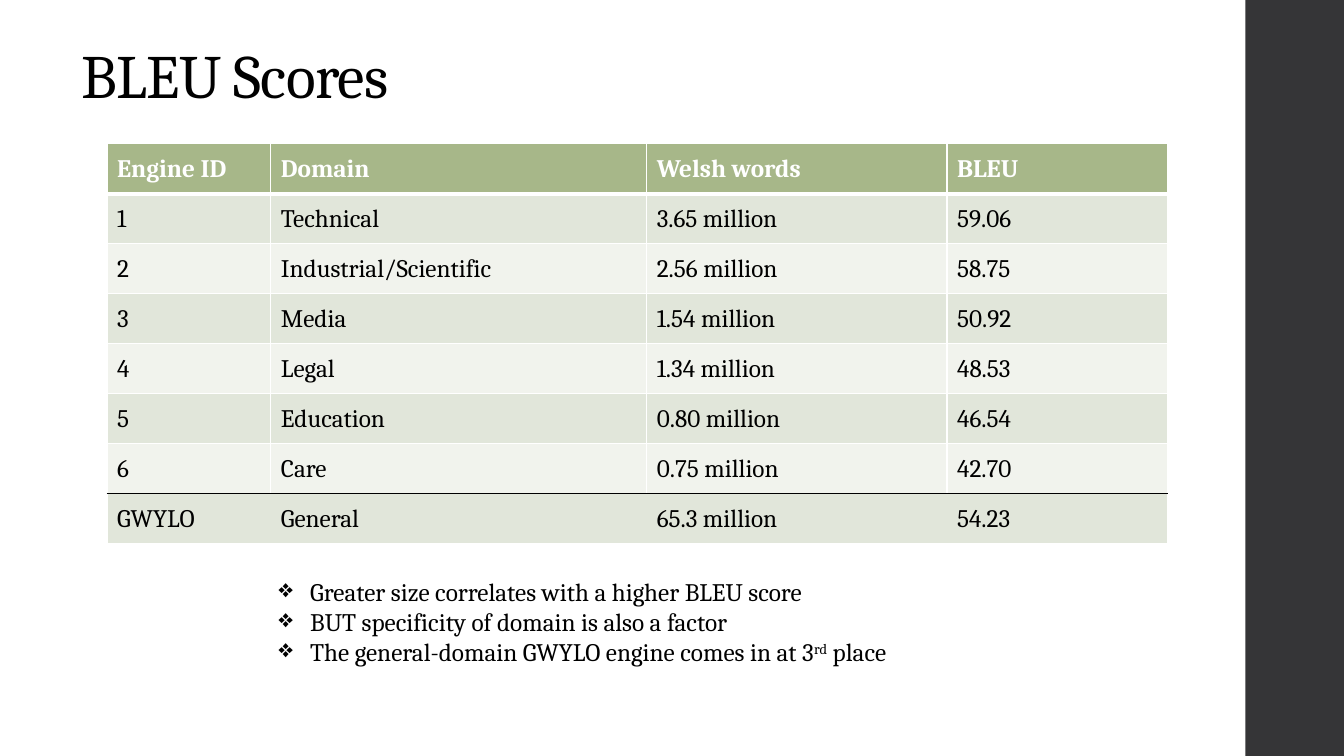
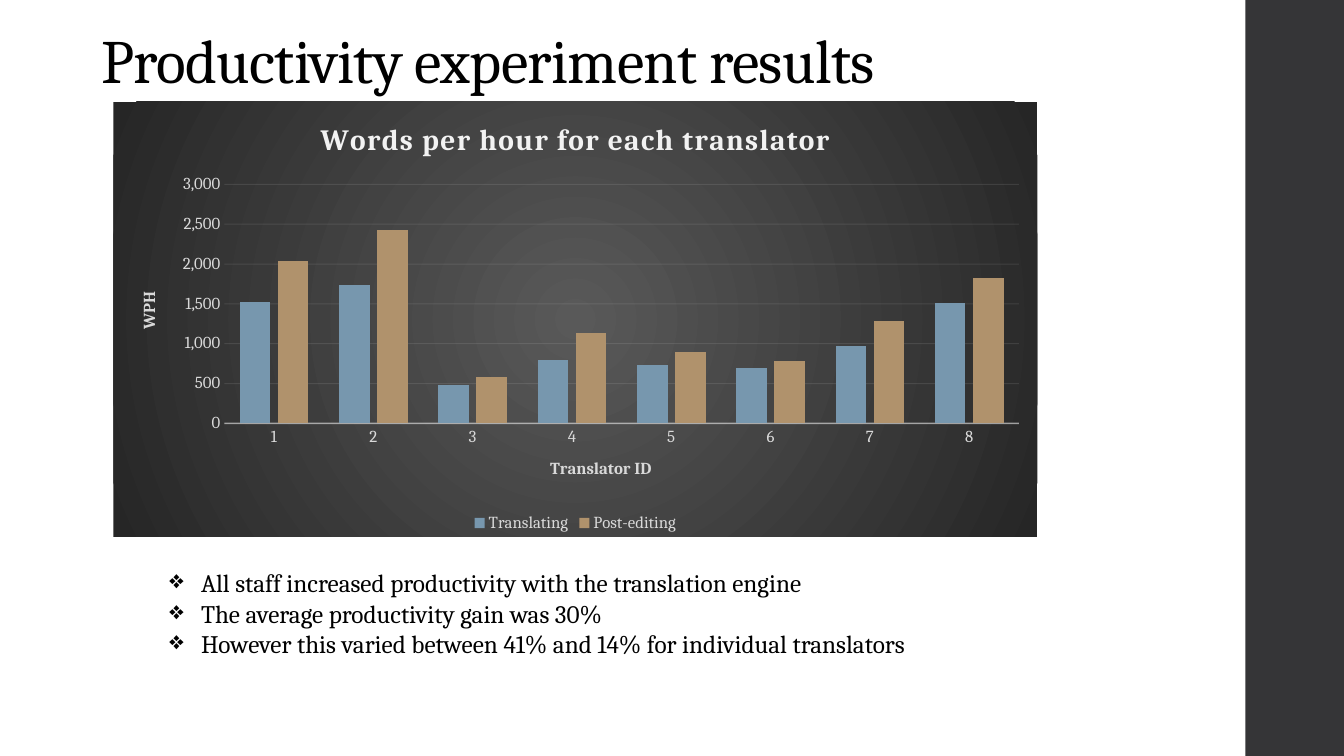
import lxml.etree as etree
import pptx
import pptx.chart.data
import pptx.dml.color
import pptx.enum.chart
import pptx.enum.shapes
import pptx.enum.text
import pptx.oxml
import pptx.oxml.ns
import pptx.util

RGBColor = pptx.dml.color.RGBColor
Pt = pptx.util.Pt
qn = pptx.oxml.ns.qn

BLACK = RGBColor(0x00, 0x00, 0x00)
WHITE = RGBColor(0xFF, 0xFF, 0xFF)
BAND = RGBColor(0x35, 0x35, 0x37)
HEADER = RGBColor(0xA7, 0xB7, 0x89)
ROW_FILLS = (RGBColor(0xE1, 0xE6, 0xDA), RGBColor(0xF1, 0xF3, 0xED))
CHART_CENTRE = RGBColor(0x59, 0x59, 0x59)
CHART_EDGE = RGBColor(0x26, 0x26, 0x26)
CHART_TEXT = RGBColor(0xD9, 0xD9, 0xD9)
CHART_LIGHT = RGBColor(0xF2, 0xF2, 0xF2)
BLUE = RGBColor(0x77, 0x97, 0xAE)
TAN = RGBColor(0xB0, 0x92, 0x6C)
FONT = "Cambria"

SCALE = 9525  # EMU per px
PAGE_SIZE = (1280, 720)
BAND_BOX = (1186, 0, 94, 720)
BULLET_INDENT = 30

SCORES = {
    "title": "BLEU Scores",
    "title_box": (68, 6, 1108, 105),
    "table_box": (102, 137, 1010, 381),
    "columns": (156, 358, 286, 210),
    "rows": (
        ("Engine ID", "Domain", "Welsh words", "BLEU"),
        ("1", "Technical", "3.65 million", "59.06"),
        ("2", "Industrial/Scientific", "2.56 million", "58.75"),
        ("3", "Media", "1.54 million", "50.92"),
        ("4", "Legal", "1.34 million", "48.53"),
        ("5", "Education", "0.80 million", "46.54"),
        ("6", "Care", "0.75 million", "42.70"),
        ("GWYLO", "General", "65.3 million", "54.23"),
    ),
    "bullets_box": (256, 544, 679, 97),
    # A bullet is a list of spans; every second span is superscript.
    "bullets": (
        ("Greater size correlates with a higher BLEU score",),
        ("BUT specificity of domain is also a factor",),
        ("The general-domain GWYLO engine comes in at 3", "rd", " place"),
    ),
}
PRODUCTIVITY = {
    "title": "Productivity experiment results",
    "title_box": (87, 0, 983, 97),
    "chart_box": (108, 97, 880, 414),
    "chart_title": "Words per hour for each translator",
    "category_title": "Translator ID",
    "value_title": "WPH",
    "categories": ("1", "2", "3", "4", "5", "6", "7", "8"),
    "series": (
        ("Translating", BLUE, (1520, 1740, 480, 800, 730, 690, 970, 1510)),
        ("Post-editing", TAN, (2040, 2430, 580, 1130, 890, 780, 1280, 1830)),
    ),
    "plot_area": {"x": 0.12, "y": 0.19, "w": 0.86, "h": 0.55},
    "bullets_box": (152, 536, 790, 97),
    "bullets": (
        ("All staff increased productivity with the translation engine",),
        ("The average productivity gain was 30%",),
        ("However this varied between 41% and 14% for individual translators",),
    ),
}


def px(*lengths):
    return [pptx.util.Emu(length * SCALE) for length in lengths]


def style(font, size, color, bold=False):
    font.name, font.size, font.bold = FONT, Pt(size), bold
    font.color.rgb = color


def add_band(layout, page):
    """Draw the side band on a page, then move it to the layout that all pages share."""
    band = page.shapes.add_shape(pptx.enum.shapes.MSO_SHAPE.RECTANGLE, *px(*BAND_BOX))
    band.shadow.inherit = False
    band.fill.solid()
    band.fill.fore_color.rgb = BAND
    band.line.fill.background()
    layout.shapes.element.append(band.element)


def add_page(deck, layout, content):
    page = deck.slides.add_slide(layout)
    title = page.shapes.title
    title.left, title.top, title.width, title.height = px(*content["title_box"])
    frame = title.text_frame
    frame.text = content["title"]
    frame.word_wrap = True
    frame.auto_size = pptx.enum.text.MSO_AUTO_SIZE.NONE
    frame.vertical_anchor = pptx.enum.text.MSO_ANCHOR.BOTTOM
    para = frame.paragraphs[0]
    para.alignment = pptx.enum.text.PP_ALIGN.LEFT
    para.line_spacing = 0.9
    span = para.runs[0]
    style(span.font, 44, BLACK)
    span._r.get_or_add_rPr().set("spc", "-50")
    add_bullets(page, content)
    return page


def add_bullets(page, content):
    frame = page.shapes.add_textbox(*px(*content["bullets_box"])).text_frame
    frame.word_wrap = True
    for number, spans in enumerate(content["bullets"]):
        para = frame.add_paragraph() if number else frame.paragraphs[0]
        properties = para._p.get_or_add_pPr()
        indent = BULLET_INDENT * SCALE
        properties.set("marL", str(indent))
        properties.set("indent", str(-indent))
        etree.SubElement(properties, qn("a:buChar"), char="❖")
        for position, text in enumerate(spans):
            span = para.add_run()
            span.text = text
            style(span.font, 18, BLACK)
            if position % 2:
                span._r.get_or_add_rPr().set("baseline", "30000")


def set_border(cell, order, side, color, points):
    """Add one cell border; a colour of None hides it."""
    line = etree.Element(qn("a:ln" + side), w=str(Pt(points)))
    if color is None:
        etree.SubElement(line, qn("a:noFill"))
    else:
        fill = etree.SubElement(line, qn("a:solidFill"))
        etree.SubElement(fill, qn("a:srgbClr"), val=str(color))
    cell._tc.get_or_add_tcPr().insert(order, line)


def add_score_table(page, content):
    rows, columns = content["rows"], content["columns"]
    last_row, last_column = len(rows) - 1, len(columns) - 1
    table = page.shapes.add_table(len(rows), len(columns), *px(*content["table_box"])).table
    for column, width in zip(table.columns, px(*columns)):
        column.width = width
    for r, row in enumerate(rows):
        for c, text in enumerate(row):
            cell = table.cell(r, c)
            cell.text = text
            cell.vertical_anchor = pptx.enum.text.MSO_ANCHOR.MIDDLE
            header = r == 0
            style(cell.text_frame.paragraphs[0].runs[0].font, 18, WHITE if header else BLACK, header)
            cell.fill.solid()
            cell.fill.fore_color.rgb = HEADER if header else ROW_FILLS[(r - 1) % 2]
            total = r == last_row
            borders = {
                "L": (None if total and c > 0 else WHITE, 1),
                "R": (None if total and c < last_column else WHITE, 1),
                "T": (BLACK if total else WHITE, 3 if r == 1 else 1),
                "B": (BLACK if r == last_row - 1 else WHITE, 3 if header else 1),
            }
            for order, (side, (color, points)) in enumerate(borders.items()):
                set_border(cell, order, side, color, points)


def set_title(owner, text, size, color):
    """Title a chart or an axis in bold."""
    owner.has_title = True
    title = owner.chart_title if hasattr(owner, "chart_title") else owner.axis_title
    title.text_frame.text = text
    span = title.text_frame.paragraphs[0].runs[0]
    style(span.font, size, color, True)
    return span


def fade(element, percent):
    for color in element.iter(qn("a:srgbClr")):
        etree.SubElement(color, qn("a:alpha"), val=str(percent * 1000))


def fill_chart_area(chart_space):
    properties = pptx.oxml.parse_xml(
        f'<c:spPr {pptx.oxml.ns.nsdecls("c", "a")}><a:gradFill><a:gsLst>'
        f'<a:gs pos="0"><a:srgbClr val="{CHART_CENTRE}"/></a:gs>'
        f'<a:gs pos="100000"><a:srgbClr val="{CHART_EDGE}"/></a:gs></a:gsLst>'
        '<a:path path="circle"><a:fillToRect l="50000" t="50000" r="50000" b="50000"/></a:path>'
        '</a:gradFill><a:ln><a:noFill/></a:ln></c:spPr>')
    chart_space.find(qn("c:chart")).addnext(properties)


def place_plot(chart_space, plot_area):
    area = chart_space.find(".//" + qn("c:plotArea"))
    layout = area.find(qn("c:layout"))
    if layout is None:
        layout = etree.Element(qn("c:layout"))
        area.insert(0, layout)
    manual = etree.SubElement(layout, qn("c:manualLayout"))
    settings = {"layoutTarget": "inner", "xMode": "edge", "yMode": "edge", **plot_area}
    for name, value in settings.items():
        etree.SubElement(manual, qn("c:" + name), val=str(value))


def add_words_chart(page, content):
    data = pptx.chart.data.CategoryChartData(number_format="#,##0")
    data.categories = content["categories"]
    for name, _, values in content["series"]:
        data.add_series(name, values)
    kind = pptx.enum.chart.XL_CHART_TYPE.COLUMN_CLUSTERED
    chart = page.shapes.add_chart(kind, *px(*content["chart_box"]), data).chart
    style(chart.font, 12, CHART_TEXT)
    span = set_title(chart, content["chart_title"], 21, CHART_LIGHT)
    span._r.get_or_add_rPr().set("spc", "100")
    chart.chart_title.include_in_layout = False

    plot = chart.plots[0]
    plot.gap_width, plot.overlap, plot.vary_by_categories = 100, -24, False
    for series, (_, color, _) in zip(plot.series, content["series"]):
        series.format.fill.solid()
        series.format.fill.fore_color.rgb = color

    chart.has_legend = True
    chart.legend.position = pptx.enum.chart.XL_LEGEND_POSITION.BOTTOM
    chart.legend.include_in_layout = False
    style(chart.legend.font, 12, CHART_TEXT)

    categories, values = chart.category_axis, chart.value_axis
    for axis, title in ((categories, content["category_title"]), (values, content["value_title"])):
        axis.major_tick_mark = axis.minor_tick_mark = pptx.enum.chart.XL_TICK_MARK.NONE
        style(axis.tick_labels.font, 12, CHART_TEXT)
        set_title(axis, title, 12, CHART_TEXT)
    values.minimum_scale, values.maximum_scale, values.major_unit = 0, 3000, 500
    values.tick_labels.number_format = "#,##0"
    values.tick_labels.number_format_is_linked = False
    values.format.line.fill.background()
    values.has_major_gridlines = True
    for line, points in ((categories.format.line, 1), (values.major_gridlines.format.line, 0.75)):
        line.color.rgb = CHART_LIGHT
        line.width = Pt(points)

    chart_space = chart.element
    fade(chart_space.find(f".//{qn('c:catAx')}/{qn('c:spPr')}"), 54)
    fade(chart_space.find(".//" + qn("c:majorGridlines")), 10)
    fill_chart_area(chart_space)
    place_plot(chart_space, content["plot_area"])


def main():
    deck = pptx.Presentation()
    deck.slide_width, deck.slide_height = px(*PAGE_SIZE)
    layout = deck.slide_layouts.get_by_name("Title Only")
    scores = add_page(deck, layout, SCORES)
    add_band(layout, scores)
    add_score_table(scores, SCORES)
    add_words_chart(add_page(deck, layout, PRODUCTIVITY), PRODUCTIVITY)
    deck.save("out.pptx")


if __name__ == "__main__":
    main()
